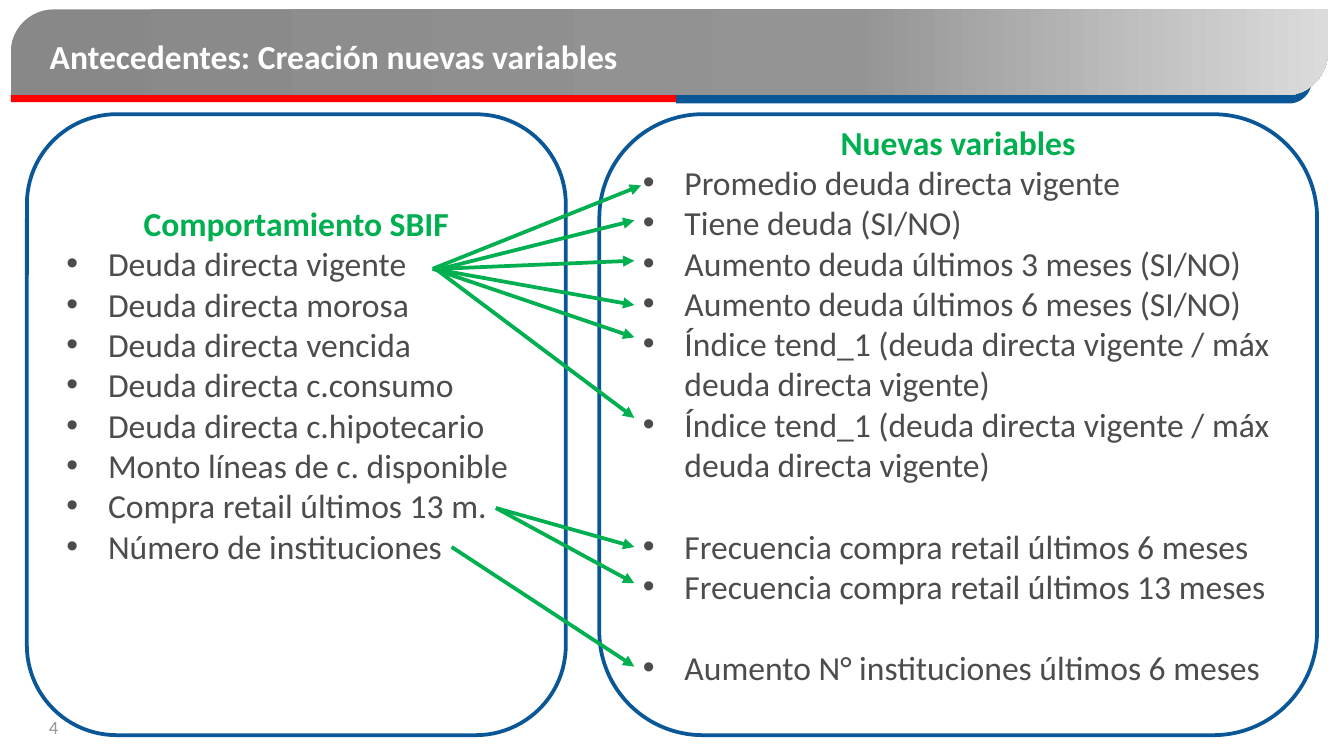
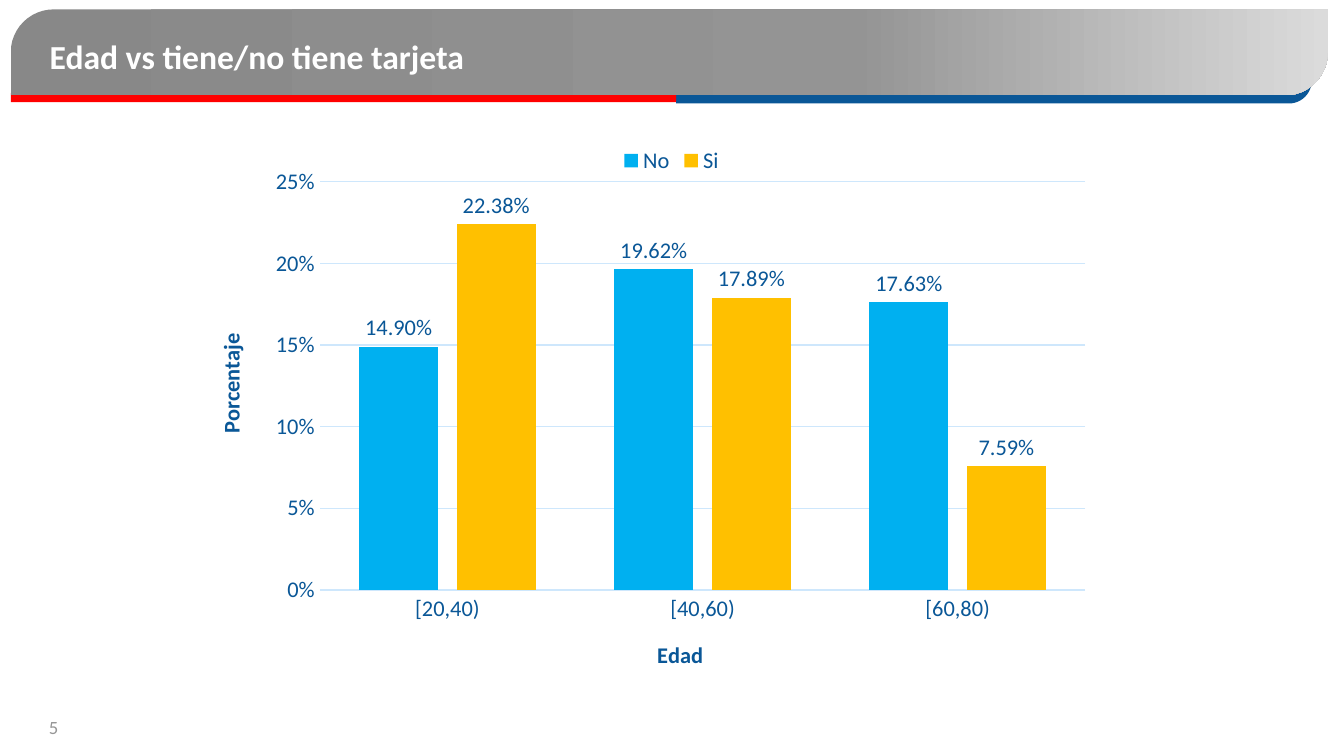
from copy import deepcopy

from lxml import etree
from pptx import Presentation
from pptx import util as u
from pptx.chart.data import CategoryChartData
from pptx.dml.color import RGBColor
from pptx.enum import chart as charts, shapes, text
from pptx.oxml.ns import qn

PX = 9144
FONT = "Calibri"
BLUE = RGBColor(0x0A, 0x57, 0x97)
RED = RGBColor(0xFF, 0x00, 0x00)
GREEN = RGBColor(0x00, 0xB0, 0x50)
WHITE = RGBColor(0xFF, 0xFF, 0xFF)
TEXT_GREY = RGBColor(0x4C, 0x4C, 0x4C)
NUMBER_GREY = RGBColor(0x96, 0x96, 0x96)
GRID = RGBColor(0xCE, 0xE7, 0xFC)
SKY = RGBColor(0x00, 0xB0, 0xF0)
AMBER = RGBColor(0xFF, 0xC0, 0x00)
BAND_STOPS = [
    (0, RGBColor(0x88, 0x88, 0x88)),
    (0.64, RGBColor(0x94, 0x94, 0x94)),
    (1, RGBColor(0xDB, 0xDB, 0xDB)),
]

HEADER_BOX = (8, 6, 980, 71)
NUMBER_BOX = (0, 528, 80, 30)
SOURCE_BOX = (20, 85, 401, 462)
DERIVED_BOX = (446, 85, 534, 462)
ARROWS_BOX = (322, 138, 155, 358)
CHART_BOX = (151, 93, 670, 422)

LINE_HEIGHT = u.Pt(22)
SOURCE_VARIABLES = [
    "Deuda directa vigente",
    "Deuda directa morosa",
    "Deuda directa vencida",
    "Deuda directa c.consumo",
    "Deuda directa c.hipotecario",
    "Monto líneas de c. disponible",
    "Compra retail últimos 13 m.",
    "Número de instituciones",
]
TREND_INDEX = "Índice tend_1 (deuda directa vigente / máx deuda directa vigente)"
DERIVED_VARIABLES = [
    "Promedio deuda directa vigente",
    "Tiene deuda (SI/NO)",
    "Aumento deuda últimos 3 meses (SI/NO)",
    "Aumento deuda últimos 6 meses (SI/NO)",
    TREND_INDEX,
    TREND_INDEX,
    "Frecuencia compra retail últimos 6 meses",
    "Frecuencia compra retail últimos 13 meses",
    "Aumento N° instituciones últimos 6 meses",
]
GROUP_STARTS = (6, 8)
ARROWS = [
    ((0, 62), (155, 0)),
    ((6, 62), (150, 26)),
    ((6, 62), (150, 56)),
    ((0, 62), (150, 89)),
    ((47, 240), (150, 269)),
    ((47, 240), (150, 296)),
    ((14, 269), (150, 358)),
    ((0, 62), (150, 113)),
    ((2, 62), (150, 173)),
]
AGES = ["[20,40)", "[40,60)", "[60,80)"]
CARD_SERIES = [
    ("No", [0.149, 0.1962, 0.1763], SKY),
    ("Si", [0.2238, 0.1789, 0.0759], AMBER),
]


def scaled(*lengths):
    """Turn px lengths into EMU."""
    return [u.Emu(length * PX) for length in lengths]


def style_font(font, size, color, bold=False):
    """Format a font of a run or a chart part."""
    font.name = FONT
    font.size = u.Pt(size)
    font.bold = bold
    font.color.rgb = color


def add_run(paragraph, words, size, color, bold=False):
    """Append one formatted run."""
    run = paragraph.add_run()
    run.text = words
    style_font(run.font, size, color, bold)


def add_block(slide, kind, box, color=None):
    """Add a flat shape without outline or shadow."""
    shape = slide.shapes.add_shape(kind, *scaled(*box))
    shape.shadow.inherit = False
    shape.line.fill.background()
    if color is not None:
        shape.fill.solid()
        shape.fill.fore_color.rgb = color
    return shape


def draw_header(slide, box, title):
    """Draw the title band with its coloured underline and the title."""
    left, top, width, height = box
    rounded = shapes.MSO_SHAPE.ROUND_2_DIAG_RECTANGLE
    underline = add_block(slide, rounded, (left + 495, top + 37, 473, 34), BLUE)
    stripe = add_block(slide, shapes.MSO_SHAPE.RECTANGLE, (left, top + 63, 495, 7), RED)
    band = add_block(slide, rounded, (left, top + 1, width, 64))
    underline.rotation = stripe.rotation = 180
    for shape in (underline, band):
        shape.adjustments[0] = 0.5
        shape.adjustments[1] = 0

    band.fill.gradient()
    band.fill.gradient_angle = 0
    stop_list = band.element.find(".//" + qn("a:gsLst"))
    stop_list.append(deepcopy(stop_list[-1]))
    for stop, (position, color) in zip(band.fill.gradient_stops, BAND_STOPS):
        stop.position = position
        stop.color.rgb = color

    holder = slide.shapes.title
    slide.shapes.element.append(holder.element)
    holder.left, holder.top, holder.width, holder.height = scaled(left + 19, top, 930, height)
    frame = holder.text_frame
    frame.word_wrap = True
    frame.auto_size = text.MSO_AUTO_SIZE.NONE
    frame.vertical_anchor = text.MSO_ANCHOR.MIDDLE
    paragraph = frame.paragraphs[0]
    paragraph.alignment = text.PP_ALIGN.LEFT
    add_run(paragraph, title, 18, WHITE, True)


def draw_number(slide, box, number):
    """Write the slide number."""
    frame = slide.shapes.add_textbox(*scaled(*box)).text_frame
    frame.word_wrap = True
    paragraph = frame.paragraphs[0]
    paragraph.alignment = text.PP_ALIGN.CENTER
    add_run(paragraph, str(number), 10, NUMBER_GREY)


def add_bullet(paragraph):
    """Give a paragraph a hanging bullet."""
    properties = paragraph._p.get_or_add_pPr()
    properties.set("marL", str(31 * PX))
    properties.set("indent", str(-31 * PX))
    etree.SubElement(properties, qn("a:buFont")).set("typeface", "Arial")
    etree.SubElement(properties, qn("a:buChar")).set("char", "•")


def draw_panel(slide, box, heading, variables, bottom_inset, group_starts=()):
    """Draw a rounded panel with a heading and a bulleted list."""
    panel = add_block(slide, shapes.MSO_SHAPE.ROUNDED_RECTANGLE, box, WHITE)
    panel.line.color.rgb = BLUE
    panel.line.width = u.Pt(2)
    frame = panel.text_frame
    frame.word_wrap = True
    frame.vertical_anchor = text.MSO_ANCHOR.MIDDLE
    frame.margin_top, frame.margin_bottom = scaled(5, bottom_inset)
    paragraph = frame.paragraphs[0]
    paragraph.alignment = text.PP_ALIGN.CENTER
    add_run(paragraph, heading, 18, GREEN, True)
    for index, variable in enumerate(variables):
        paragraph = frame.add_paragraph()
        paragraph.alignment = text.PP_ALIGN.LEFT
        if index in group_starts:
            paragraph.space_before = LINE_HEIGHT
        add_bullet(paragraph)
        add_run(paragraph, variable, 18, TEXT_GREY)


def draw_arrows(slide, box, arrows):
    """Link source variables to the derived ones."""
    left, top = box[:2]
    for (start_x, start_y), (end_x, end_y) in arrows:
        points = scaled(left + start_x, top + start_y, left + end_x, top + end_y)
        arrow = slide.shapes.add_connector(shapes.MSO_CONNECTOR.STRAIGHT, *points)
        arrow.line.color.rgb = GREEN
        arrow.line.width = u.Pt(2)
        line = arrow.element.find(".//" + qn("a:ln"))
        etree.SubElement(line, qn("a:tailEnd")).set("type", "triangle")
        etree.SubElement(line.getparent(), qn("a:effectLst"))


def set_layout(element, index, inner=False, **values):
    """Fix the place of a chart part as shares of the chart."""
    for old in element.findall(qn("c:layout")):
        element.remove(old)
    layout = etree.Element(qn("c:layout"))
    manual = etree.SubElement(layout, qn("c:manualLayout"))
    settings = {"layoutTarget": "inner"} if inner else {}
    settings.update(xMode="edge", yMode="edge", **values)
    for name, value in settings.items():
        etree.SubElement(manual, qn("c:" + name)).set("val", str(value))
    element.insert(index, layout)


def style_axis(axis, title, x, y):
    """Format an axis and place its title."""
    axis.major_tick_mark = axis.minor_tick_mark = charts.XL_TICK_MARK.NONE
    style_font(axis.tick_labels.font, 12, BLUE)
    add_run(axis.axis_title.text_frame.paragraphs[0], title, 12, BLUE, True)
    set_layout(axis.axis_title._element, 1, x=x, y=y)


def draw_chart(slide, box):
    """Draw the clustered columns of card holding by age."""
    data = CategoryChartData(number_format="0.00%")
    data.categories = AGES
    for name, values, _ in CARD_SERIES:
        data.add_series(name, values)
    kind = charts.XL_CHART_TYPE.COLUMN_CLUSTERED
    chart = slide.shapes.add_chart(kind, *scaled(*box), data).chart
    style_font(chart.font, 10, TEXT_GREY)
    chart.has_title = False
    chart.has_legend = True
    chart.legend.position = charts.XL_LEGEND_POSITION.BOTTOM
    chart.legend.include_in_layout = False
    style_font(chart.legend.font, 12, BLUE)
    set_layout(chart.legend._element, 1, x=0.46, y=0.03)
    plot_area = chart.element.find(".//" + qn("c:plotArea"))
    set_layout(plot_area, 0, inner=True, x=0.13, y=0.1, w=0.85, h=0.72)

    style_axis(chart.category_axis, "Edad", 0.5, 0.9)
    chart.category_axis.format.line.color.rgb = GRID
    chart.category_axis.format.line.width = u.Pt(0.75)
    value_axis = chart.value_axis
    style_axis(value_axis, "Porcentaje", 0.01, 0.36)
    value_axis.minimum_scale, value_axis.maximum_scale = 0, 0.25
    value_axis.major_unit = 0.05
    value_axis.tick_labels.number_format = "0%"
    value_axis.tick_labels.number_format_is_linked = False
    value_axis.format.line.fill.background()
    value_axis.major_gridlines.format.line.color.rgb = GRID
    value_axis.major_gridlines.format.line.width = u.Pt(0.75)

    plot = chart.plots[0]
    plot.vary_by_categories = False
    plot.gap_width = 100
    plot.overlap = -24
    for series, (_, _, color) in zip(plot.series, CARD_SERIES):
        series.format.fill.solid()
        series.format.fill.fore_color.rgb = color
        labels = series.data_labels
        labels.show_value = True
        labels.number_format = "0.00%"
        labels.number_format_is_linked = False
        labels.position = charts.XL_LABEL_POSITION.OUTSIDE_END
        style_font(labels.font, 12, BLUE)


def add_slide(presentation, title, number):
    """Add a slide with the shared header and number."""
    slide = presentation.slides.add_slide(presentation.slide_layouts[5])
    draw_header(slide, HEADER_BOX, title)
    draw_number(slide, NUMBER_BOX, number)
    return slide


def main():
    """Build and save the presentation."""
    presentation = Presentation()
    presentation.slide_width = u.Emu(1000 * PX)
    presentation.slide_height = u.Emu(1000 * PX * 9 // 16)
    slide = add_slide(presentation, "Antecedentes: Creación nuevas variables", 4)
    draw_panel(slide, SOURCE_BOX, "Comportamiento SBIF", SOURCE_VARIABLES, 65)
    draw_panel(slide, DERIVED_BOX, "Nuevas variables", DERIVED_VARIABLES, 35, GROUP_STARTS)
    draw_arrows(slide, ARROWS_BOX, ARROWS)
    slide = add_slide(presentation, "Edad vs tiene/no tiene tarjeta", 5)
    draw_chart(slide, CHART_BOX)
    presentation.save("out.pptx")


if __name__ == "__main__":
    main()
